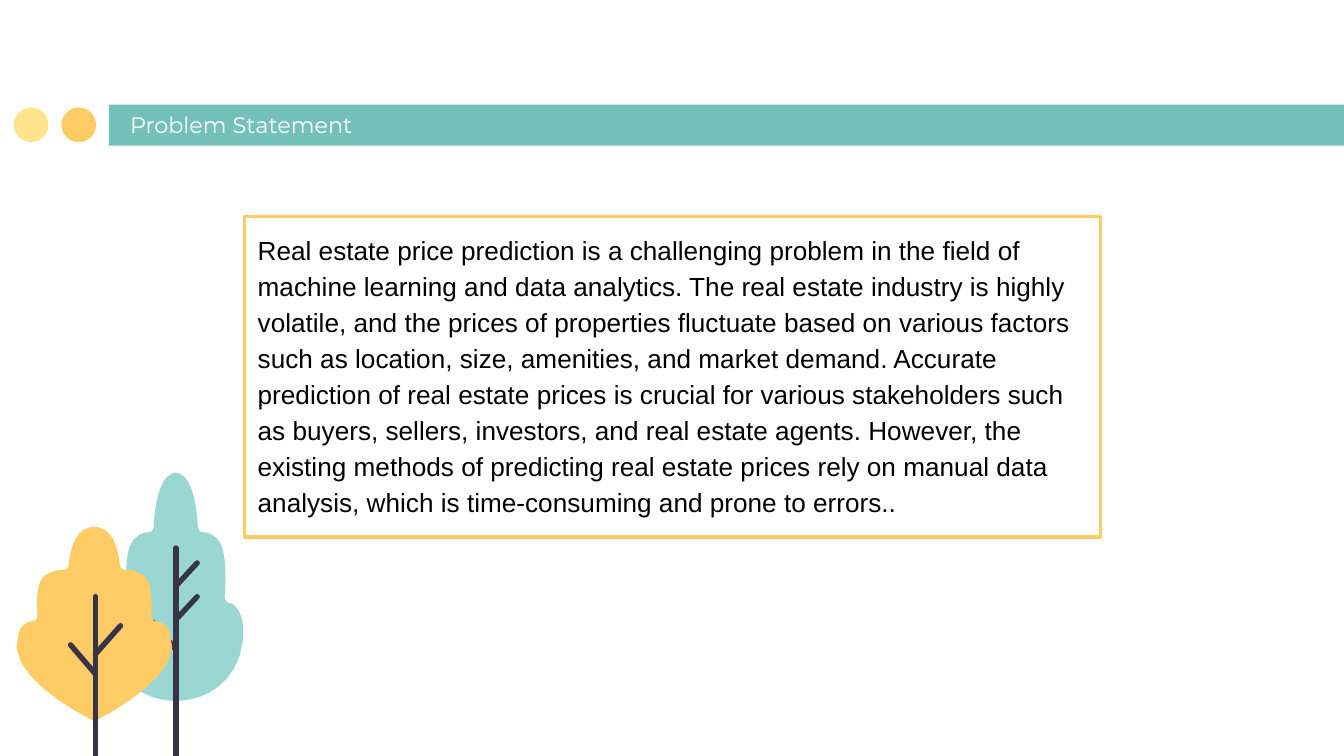
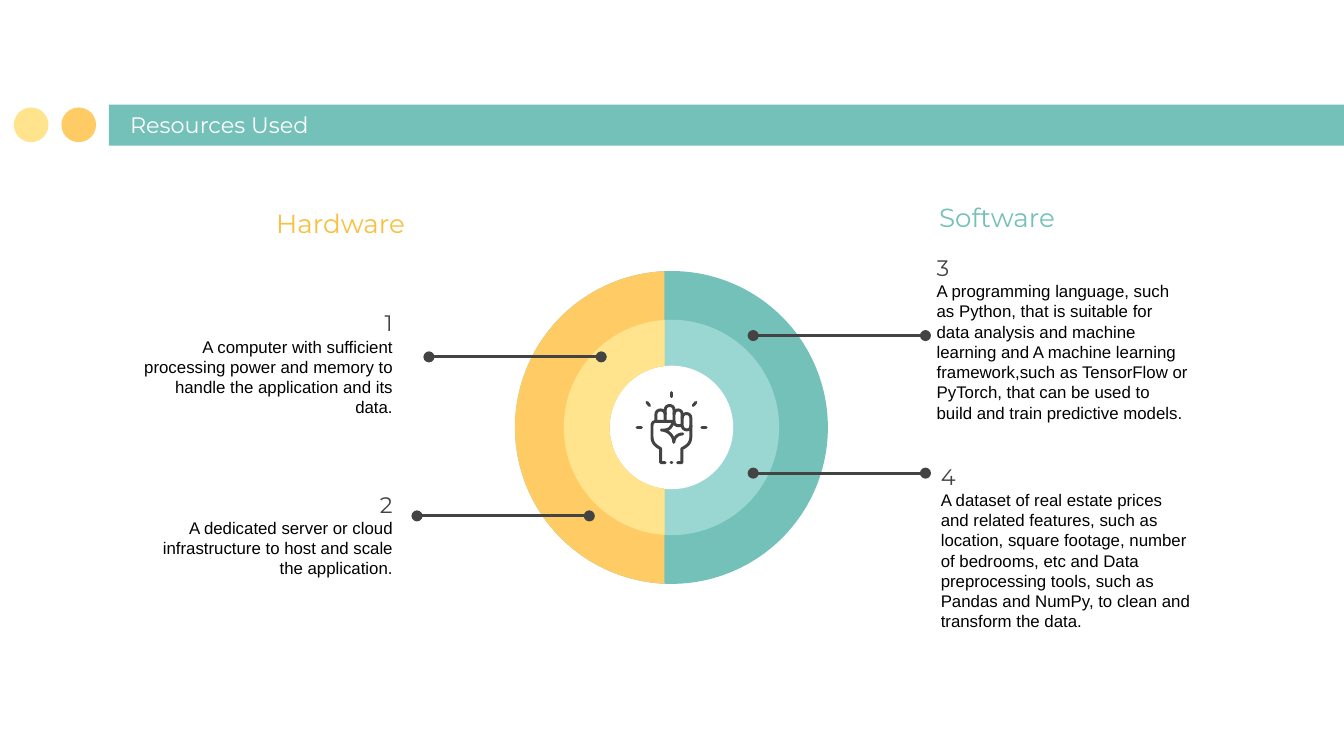
from dataclasses import dataclass
from math import acos, cos, pi, sin

from lxml.etree import SubElement
from pptx import Presentation
from pptx.dml.color import RGBColor
from pptx.enum.shapes import MSO_CONNECTOR, MSO_SHAPE
from pptx.enum.text import MSO_ANCHOR, PP_ALIGN
from pptx.oxml.ns import qn
from pptx.shapes.autoshape import Shape
from pptx.slide import Slide
from pptx.util import Pt

Point = tuple[float, float]


@dataclass(frozen=True)
class Theme:
    teal: str = "74C1B9"
    light_teal: str = "9AD7D2"
    amber: str = "FFCB64"
    light_amber: str = "FFE48D"
    hardware: str = "F9BF3E"
    bark: str = "373449"
    gray: str = "434343"
    white: str = "FFFFFF"
    black: str = "000000"
    heading_font: str = "Montserrat"
    body_font: str = "Arial"
    title_size: float = 12
    heading_size: float = 14
    statement_size: float = 14
    body_size: float = 9


THEME = Theme()
WIDTH, HEIGHT = 720, 405


@dataclass(frozen=True)
class Box:
    left: float
    top: float
    width: float
    height: float

    def lengths(self) -> tuple[Pt, Pt, Pt, Pt]:
        return Pt(self.left), Pt(self.top), Pt(self.width), Pt(self.height)


@dataclass(frozen=True)
class Line:
    text: str
    font: str
    size: float
    color: str


@dataclass(frozen=True)
class Tree:
    center: float
    crown_color: str
    half_crown: str
    branches: str


@dataclass(frozen=True)
class Resource:
    number: str
    text: str
    left: float
    top: float
    align: PP_ALIGN
    pointer: Point


# Half crowns run from the top down, measured from the trunk's centre
TREES = [
    Tree(94.2, THEME.light_teal,
         "M 0 253.2 C .7 253.2 1.4 253.4 2.2 253.9 C 9.4 256.5 11.3 273 11.8 281.7 "
         "C 11.9 283.7 13 285.2 14.4 285.2 C 17.3 285.2 21 286.6 23.8 290.9 "
         "C 27 296 27 311.8 26.2 319 C 26.1 321.3 27 323 28.8 323.2 "
         "C 33 323.3 35.3 331.2 35.3 331.2 C 36.3 335.5 36.4 340 35.8 344.5 "
         "C 32.9 365 16.6 375.6 0 375.6",
         "M 94.2 293.6 L 94.2 405 M 105.6 301.6 L 94.2 314 "
         "M 105.6 319.7 L 94.2 332 M 82 333.5 L 94.2 348"),
    Tree(50.5, THEME.amber,
         "M 0 282.3 C 1 282.3 2 282.4 3 282.8 C 11 284.5 13 296.6 13.7 302.4 "
         "C 13.8 304 15 305.3 16.2 305.3 C 19.8 305.3 24.5 306.5 27.4 309.2 "
         "C 31 313 31 324 30.5 329.8 C 30.4 331.5 31.5 332.9 33.1 332.9 "
         "C 38 332.9 40.3 338.4 40.3 338.4 C 50.4 361 6.5 383 .8 386 "
         "C .5 386.3 .2 386.4 0 386.4",
         "M 51.1 319.6 L 51.1 405 M 37.8 345.5 L 51.1 361 M 64.6 335.2 L 51.1 350.5"),
]

FINGERS = (
    "M 351.4 225.8 L 351.4 222 C 351.4 218.9 356.4 218.9 356.4 222 L 356.4 225.8 "
    "M 356.4 222 L 356.4 219.6 C 356.4 216.5 361.1 216.5 361.1 219.6 L 361.1 225.8 "
    "M 361.1 222 C 361.1 218.9 365.5 218.9 365.5 222 L 365.5 227 "
    "C 365.5 228.6 361.1 228.8 361.1 225.8 "
    "M 365.5 224 C 365.5 220.8 370.1 220.8 370.1 224 L 370.1 228.5 "
    "C 370.1 231 365.5 231 365.5 228"
)
HAND = (
    "M 361.1 225.8 L 351.5 225.8 C 349.9 225.8 349.3 226.8 349.3 228.2 L 349.3 234 "
    "C 349.3 237.5 351.5 239 354 240.4 L 354 247.9 L 356.3 247.9 "
    "M 370.1 228 L 370.1 234 C 370.1 237.5 368 239 365.3 240.4 L 365.3 247.9 L 363 247.9 "
    "M 360.7 226 C 360 228.5 358.5 230.4 356 230.4 L 354.3 230.4 "
    "C 358 230.5 361 233.5 361 237 C 361 234.5 363 232.5 365.8 232.5 "
    "M 359.5 247.9 L 359.9 247.9"
)
RAYS = (
    "M 359.7 210.4 L 359.7 212.6 M 341.3 229 L 343.6 229 M 376 229 L 378.3 229 "
    "M 346.6 215.6 L 348 217.3 M 372.8 215.6 L 371.4 217.3"
)

STATEMENT = (
    "Real estate price prediction is a challenging problem in the field of machine learning "
    "and data analytics. The real estate industry is highly volatile, and the prices of "
    "properties fluctuate based on various factors such as location, size, amenities, and "
    "market demand. Accurate prediction of real estate prices is crucial for various "
    "stakeholders such as buyers, sellers, investors, and real estate agents. However, the "
    "existing methods of predicting real estate prices rely on manual data analysis, which "
    "is time-consuming and prone to errors.."
)

RESOURCES = [
    Resource("1", "A computer with sufficient processing power and memory to handle the "
             "application and its data.", 74.9, 164.9, PP_ALIGN.RIGHT, (229.8, 191.2)),
    Resource("2", "A dedicated server or cloud infrastructure to host and scale the "
             "application.", 74.9, 262.1, PP_ALIGN.RIGHT, (223.4, 276.4)),
    Resource("3", "A programming language, such as Python, that is suitable for data analysis "
             "and machine learning and A machine learning framework,such as TensorFlow or "
             "PyTorch, that can be used to build and train predictive models.",
             501.8, 135.2, PP_ALIGN.LEFT, (403.5, 179.8)),
    Resource("4", "A dataset of real estate prices and related features, such as location, "
             "square footage, number of bedrooms, etc and Data preprocessing tools, such as "
             "Pandas and NumPy, to clean and transform the data.",
             504, 247, PP_ALIGN.LEFT, (403.5, 253.5)),
]


def rgb(color: str) -> RGBColor:
    return RGBColor.from_string(color)


# Shapes and text
def paint(shape: Shape, color: str) -> Shape:
    shape.shadow.inherit = False
    shape.fill.solid()
    shape.fill.fore_color.rgb = rgb(color)
    shape.line.fill.background()
    return shape


def add_block(slide: Slide, kind: MSO_SHAPE, box: Box, color: str) -> Shape:
    return paint(slide.shapes.add_shape(kind, *box.lengths()), color)


def add_disc(slide: Slide, center: Point, radius: float, color: str) -> Shape:
    box = Box(center[0] - radius, center[1] - radius, 2 * radius, 2 * radius)
    return add_block(slide, MSO_SHAPE.OVAL, box, color)


def write(shape: Shape, lines: list[Line], align: PP_ALIGN = PP_ALIGN.LEFT,
          margin: float = 7.2, top_margin: float = 7.2,
          anchor: MSO_ANCHOR = MSO_ANCHOR.TOP) -> None:
    frame = shape.text_frame
    frame.word_wrap = True
    frame.vertical_anchor = anchor
    frame.margin_left = frame.margin_right = frame.margin_bottom = Pt(margin)
    frame.margin_top = Pt(top_margin)
    frame.text = "\n".join(line.text for line in lines)
    for paragraph, line in zip(frame.paragraphs, lines):
        paragraph.alignment = align
        font = paragraph.runs[0].font
        font.name, font.size = line.font, Pt(line.size)
        font.color.rgb = rgb(line.color)


# Outlines: M, L and C commands as in SVG, with curves cut into short steps
def trace(outline: str, steps: int = 8) -> list[list[Point]]:
    contours: list[list[Point]] = []
    tokens = iter(outline.split())

    def next_point() -> Point:
        return float(next(tokens)), float(next(tokens))

    for command in tokens:
        if command == "M":
            contours.append([next_point()])
        elif command == "L":
            contours[-1].append(next_point())
        else:
            controls = [contours[-1][-1], next_point(), next_point(), next_point()]
            for step in range(1, steps + 1):
                t = step / steps
                weights = ((1 - t) ** 3, 3 * t * (1 - t) ** 2, 3 * t * t * (1 - t), t ** 3)
                contours[-1].append((sum(w * p[0] for w, p in zip(weights, controls)),
                                     sum(w * p[1] for w, p in zip(weights, controls))))
    return contours


def add_freeform(slide: Slide, contours: list[list[Point]], close: bool) -> Shape:
    scaled = [[(Pt(x), Pt(y)) for x, y in contour] for contour in contours]
    builder = slide.shapes.build_freeform(*scaled[0][0], scale=1.0)
    for index, contour in enumerate(scaled):
        if index:
            builder.move_to(*contour[0])
        builder.add_line_segments(contour[1:], close=close)
    return builder.convert_to_shape()


def add_strokes(slide: Slide, outline: str, color: str, width: float) -> None:
    shape = add_freeform(slide, trace(outline), close=False)
    shape.shadow.inherit = False
    shape.fill.background()
    shape.line.color.rgb = rgb(color)
    shape.line.width = Pt(width)
    line = shape.line._get_or_add_ln()
    line.set("cap", "rnd")
    SubElement(line, qn("a:round"))


def add_tree(slide: Slide, tree: Tree) -> None:
    half = trace(tree.half_crown)[0]
    right = [(tree.center + x, y) for x, y in half]
    left = [(tree.center - x, y) for x, y in reversed(half)]
    paint(add_freeform(slide, [right + left], close=True), tree.crown_color)
    add_strokes(slide, tree.branches, THEME.bark, 2.9)


def add_half_ring(slide: Slide, center: Point, outer: float, inner: float,
                  edge: float, color: str) -> None:
    """Ring part to the left of the vertical line x = edge."""
    def arc(radius: float, steps: int = 48) -> list[Point]:
        start = acos((edge - center[0]) / radius)
        angles = [start + (2 * pi - 2 * start) * step / steps for step in range(steps + 1)]
        return [(center[0] + radius * cos(a), center[1] + radius * sin(a)) for a in angles]

    paint(add_freeform(slide, [arc(outer) + arc(inner)[::-1]], close=True), color)


def add_pointer(slide: Slide, start: Point, length: float) -> None:
    x, y = start
    connector = slide.shapes.add_connector(
        MSO_CONNECTOR.STRAIGHT, Pt(x), Pt(y), Pt(x + length), Pt(y))
    connector.line.color.rgb = rgb(THEME.gray)
    connector.line.width = Pt(1.5)
    line = connector.line._get_or_add_ln()
    for end in ("a:headEnd", "a:tailEnd"):
        SubElement(line, qn(end), type="oval")
    SubElement(connector._element.spPr, qn("a:effectLst"))


# Slides
def add_titled_slide(presentation: Presentation, title: str) -> Slide:
    slide = presentation.slides.add_slide(presentation.slide_layouts[6])
    add_block(slide, MSO_SHAPE.RECTANGLE, Box(58.4, 56, WIDTH - 58.4, 22), THEME.teal)
    add_disc(slide, (42.2, 66.9), 9.3, THEME.amber)
    add_disc(slide, (16.7, 66.9), 9.3, THEME.light_amber)
    box = slide.shapes.add_textbox(*Box(62.6, 56.9, 394.6, 24.5).lengths())
    write(box, [Line(title, THEME.heading_font, THEME.title_size, THEME.white)],
          anchor=MSO_ANCHOR.BOTTOM)
    return slide


def add_problem_slide(presentation: Presentation) -> None:
    slide = add_titled_slide(presentation, "Problem Statement")
    panel = add_block(slide, MSO_SHAPE.RECTANGLE, Box(131, 116, 458.6, 171.6), THEME.white)
    panel.line.color.rgb = rgb(THEME.amber)
    panel.line.width = Pt(2)
    write(panel, [Line(STATEMENT, THEME.body_font, THEME.statement_size, THEME.black)])
    panel.text_frame.paragraphs[0].line_spacing = 1.15
    for tree in TREES:
        add_tree(slide, tree)


def add_resources_slide(presentation: Presentation) -> None:
    slide = add_titled_slide(presentation, "Resources Used")

    # Headings and numbered texts
    for text, left, top, align, color in (
            ("Hardware", 88.6, 103.7, PP_ALIGN.RIGHT, THEME.hardware),
            ("Software", 496, 100.8, PP_ALIGN.LEFT, THEME.teal)):
        box = slide.shapes.add_textbox(*Box(left, top, 135.4, 18.7).lengths())
        write(box, [Line(text, THEME.heading_font, THEME.heading_size, color)], align)
    for resource in RESOURCES:
        box = slide.shapes.add_textbox(*Box(resource.left, resource.top, 135.4, 38.9).lengths())
        write(box, [Line(resource.number, THEME.heading_font, THEME.title_size, THEME.gray),
                    Line(resource.text, THEME.body_font, THEME.body_size, THEME.black)],
              resource.align, margin=0, top_margin=0.9)

    # Two-tone rings around the fist
    center, hole, edge = (359.7, 229), 33.1, 356
    rings = ((83.8, THEME.teal, THEME.amber), (57.7, THEME.light_teal, THEME.light_amber))
    for radius, right_color, _ in rings:
        add_disc(slide, center, radius, right_color)
    add_disc(slide, center, hole, THEME.white)
    for radius, _, left_color in rings:
        add_half_ring(slide, center, radius, hole, edge, left_color)
    for strokes in (FINGERS, HAND, RAYS):
        add_strokes(slide, strokes, THEME.gray, 1.6)

    for resource in RESOURCES:
        add_pointer(slide, resource.pointer, 92.3)


def main() -> None:
    presentation = Presentation()
    presentation.slide_width, presentation.slide_height = Pt(WIDTH), Pt(HEIGHT)
    add_problem_slide(presentation)
    add_resources_slide(presentation)
    presentation.save("out.pptx")


if __name__ == "__main__":
    main()
